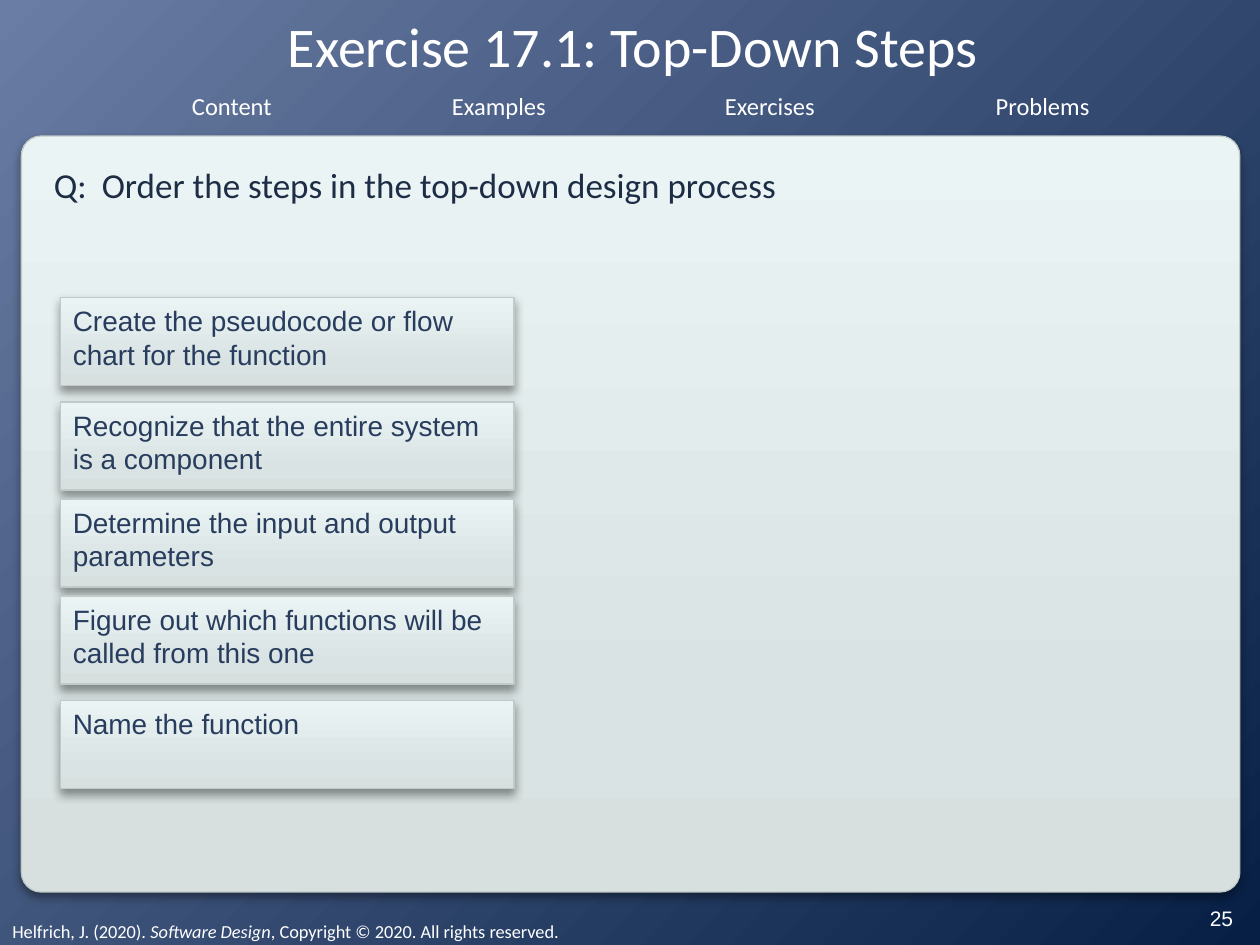
from dataclasses import dataclass

from pptx import Presentation
from pptx.dml.color import RGBColor
from pptx.enum.shapes import MSO_SHAPE
from pptx.enum.text import MSO_ANCHOR, PP_ALIGN
from pptx.oxml import parse_xml
from pptx.oxml.ns import nsdecls, qn
from pptx.shapes.autoshape import Shape
from pptx.slide import Slide
from pptx.util import Inches, Pt

RECTANGLE = MSO_SHAPE.RECTANGLE
ROUNDED = MSO_SHAPE.ROUNDED_RECTANGLE
LEFT, CENTER = PP_ALIGN.LEFT, PP_ALIGN.CENTER
TOP, MIDDLE = MSO_ANCHOR.TOP, MSO_ANCHOR.MIDDLE

WHITE = RGBColor(0xFF, 0xFF, 0xFF)
BLACK = RGBColor(0x00, 0x00, 0x00)
QUESTION_COLOR = RGBColor(0x1D, 0x2D, 0x46)
STEP_COLOR = RGBColor(0x28, 0x3D, 0x5E)
BORDER = RGBColor(0xC1, 0xC9, 0xC9)
BACKGROUND_STOPS = [(0, RGBColor(0x6A, 0x7D, 0xA4)), (100, RGBColor(0x07, 0x1F, 0x45))]
PANEL_STOPS = [
    (0, RGBColor(0xD7, 0xDF, 0xDF)),
    (25, RGBColor(0xDA, 0xE3, 0xE3)),
    (100, RGBColor(0xEB, 0xF4, 0xF4)),
]
UPWARD = '<a:lin ang="16200000" scaled="0"/>'
FROM_TOP_LEFT = '<a:path path="circle"><a:fillToRect r="100000" b="100000"/></a:path>'


@dataclass
class Box:
    left: float
    top: float
    width: float
    height: float


@dataclass
class Style:
    size: float
    color: RGBColor = WHITE
    font: str = "Calibri"
    alignment: PP_ALIGN = LEFT
    anchor: MSO_ANCHOR = TOP
    wrap: bool = True


@dataclass
class NavigationItem:
    text: str
    left: float
    width: float


@dataclass
class Step:
    text: str
    top: float


NAVIGATION = [
    NavigationItem("Content", 1.42, 0.84),
    NavigationItem("Examples", 3.48, 0.96),
    NavigationItem("Exercises", 5.65, 0.92),
    NavigationItem("Problems", 7.8, 0.95),
]
STEPS = [
    Step("Create the pseudocode or flow chart for the function", 2.36),
    Step("Recognize that the entire system is a component", 3.19),
    Step("Determine the input and output parameters", 3.96),
    Step("Figure out which functions will be called from this one", 4.73),
    Step("Name the function", 5.56),
]
TITLE_STYLE = Style(32, alignment=CENTER, anchor=MIDDLE)
NAVIGATION_STYLE = Style(14, alignment=CENTER, wrap=False)
QUESTION_STYLE = Style(20, QUESTION_COLOR)
STEP_STYLE = Style(16, STEP_COLOR, "Arial")
FOOTER_STYLE = Style(10.5)
NUMBER_STYLE = Style(12, font="Arial", alignment=CENTER, anchor=MIDDLE)


def set_gradient(parent, placeholder, stops: list, direction: str) -> None:
    """Put a gradient where a simple fill element stands."""
    stop_xml = "".join(
        f'<a:gs pos="{position * 1000}"><a:srgbClr val="{color}"/></a:gs>'
        for position, color in stops
    )
    gradient = parse_xml(
        f'<a:gradFill {nsdecls("a")} rotWithShape="1">'
        f"<a:gsLst>{stop_xml}</a:gsLst>{direction}</a:gradFill>"
    )
    parent.replace(placeholder, gradient)


def add_panel(slide: Slide, kind: MSO_SHAPE, box: Box) -> Shape:
    """Add a raised panel with gradient, border and soft shadow."""
    shape = slide.shapes.add_shape(
        kind, Inches(box.left), Inches(box.top), Inches(box.width), Inches(box.height)
    )
    shape.fill.background()
    properties = shape.fill._xPr
    set_gradient(properties, properties.find(qn("a:noFill")), PANEL_STOPS, UPWARD)
    shape.line.color.rgb = BORDER
    shape.line.width = Pt(0.75)
    shape.shadow.inherit = False
    properties.find(qn("a:effectLst")).append(parse_xml(
        f'<a:outerShdw {nsdecls("a")} blurRad="{Pt(5.2)}" dist="{Pt(3)}" '
        f'dir="5400000" rotWithShape="0"><a:srgbClr val="{BLACK}">'
        '<a:alpha val="40000"/></a:srgbClr></a:outerShdw>'
    ))
    return shape


def write_text(shape: Shape, texts: list[str], style: Style) -> None:
    """Write one paragraph, one run for each text."""
    text_frame = shape.text_frame
    text_frame.word_wrap = style.wrap
    text_frame.vertical_anchor = style.anchor
    paragraph = text_frame.paragraphs[0]
    paragraph.alignment = style.alignment
    for text in texts:
        run = paragraph.add_run()
        run.text = text
        run.font.size = Pt(style.size)
        run.font.name = style.font
        run.font.color.rgb = style.color


def add_label(slide: Slide, box: Box, texts: list[str], style: Style) -> Shape:
    label = slide.shapes.add_textbox(
        Inches(box.left), Inches(box.top), Inches(box.width), Inches(box.height)
    )
    write_text(label, texts, style)
    return label


def main() -> None:
    presentation = Presentation()
    presentation.slide_width = Inches(10)
    presentation.slide_height = Inches(7.5)
    slide = presentation.slides.add_slide(presentation.slide_layouts[6])

    # Background and main panel
    background_fill = slide.background.fill
    background_fill.background()
    properties = background_fill._xPr
    set_gradient(properties, properties.find(qn("a:noFill")), BACKGROUND_STOPS, FROM_TOP_LEFT)
    panel = add_panel(slide, ROUNDED, Box(0.17, 1.08, 9.67, 6))
    panel.adjustments[0] = 0.026

    # Footer with the book title in italics
    footer_texts = ["Helfrich, J. (2020). ", "Software Design",
                    ", Copyright © 2020. All rights reserved."]
    footer = add_label(slide, Box(0, 7.25, 9, 0.29), footer_texts, FOOTER_STYLE)
    footer.text_frame.paragraphs[0].runs[1].font.italic = True

    # Navigation
    for item in NAVIGATION:
        add_label(slide, Box(item.left, 0.67, item.width, 0.34), [item.text], NAVIGATION_STYLE)

    # Title
    title = add_label(slide, Box(0.22, 0.11, 9.61, 0.5),
                      ["Exercise 17.1: Top-Down Steps"], TITLE_STYLE)
    title_frame = title.text_frame
    title_frame.margin_left = title_frame.margin_right = 0
    title_frame.margin_top = title_frame.margin_bottom = 0

    # Question with a hanging indent
    question = add_label(slide, Box(0.33, 1.25, 9.33, 0.5),
                         ["Q: \tOrder the steps in the top-down design process"],
                         QUESTION_STYLE)
    paragraph_properties = question.text_frame.paragraphs[0]._p.get_or_add_pPr()
    paragraph_properties.set("marL", str(Inches(0.38)))
    paragraph_properties.set("indent", str(Inches(-0.38)))

    # Slide number
    add_label(slide, Box(9.36, 7.08, 0.67, 0.42), ["25"], NUMBER_STYLE)

    # Steps to be ordered
    for step in STEPS:
        card = add_panel(slide, RECTANGLE, Box(0.48, step.top, 3.6, 0.7))
        write_text(card, [step.text], STEP_STYLE)

    presentation.save("out.pptx")


if __name__ == "__main__":
    main()
